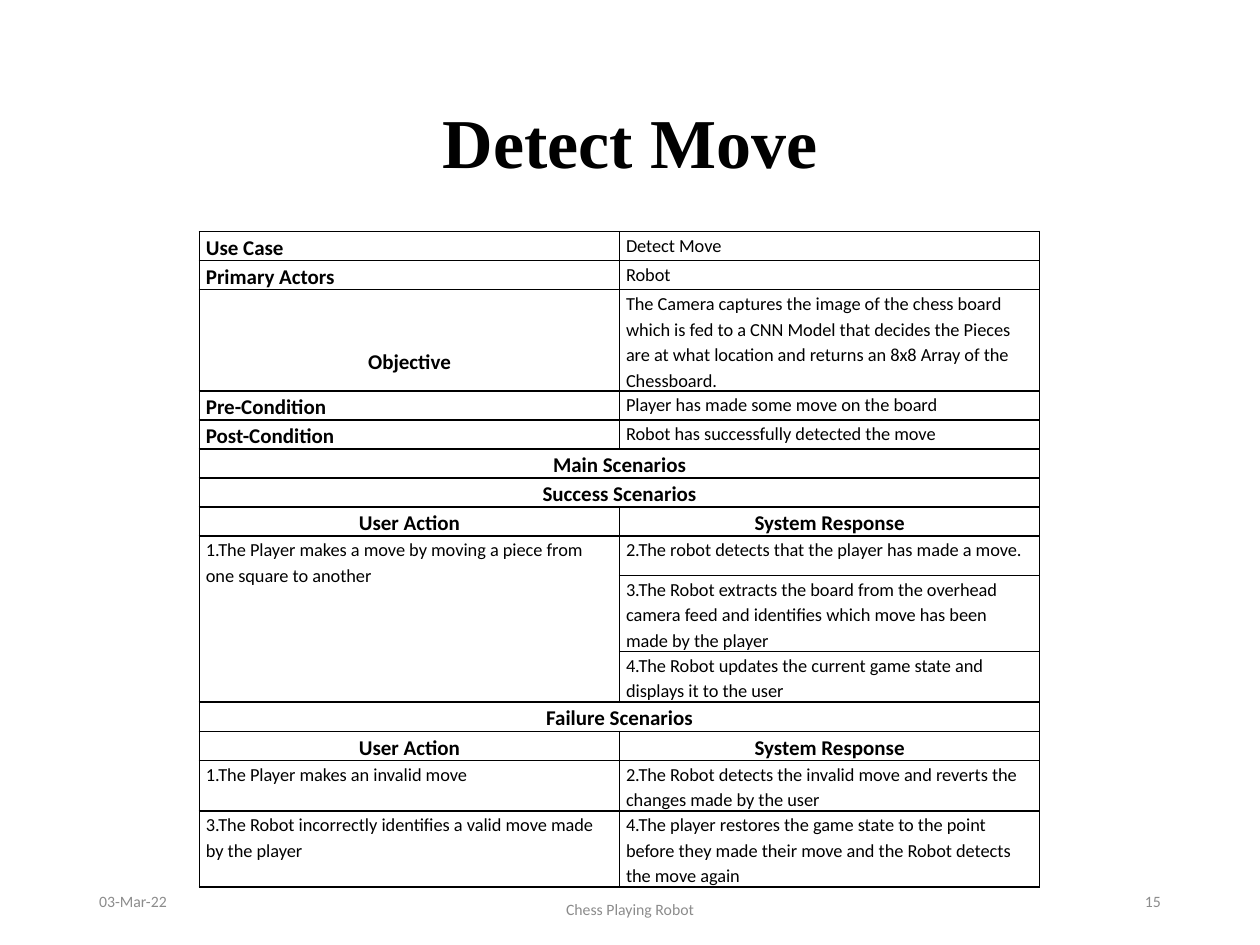
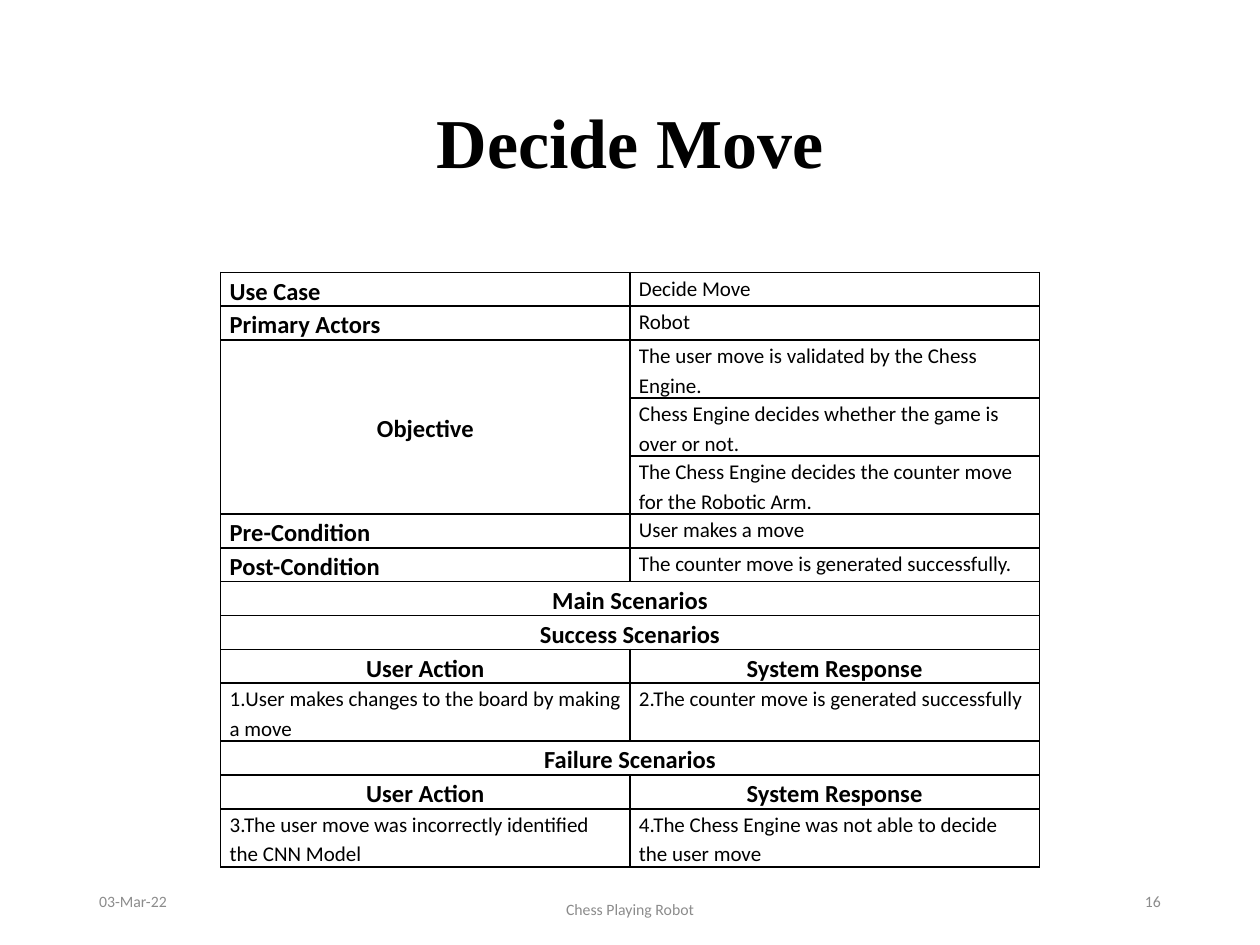
from dataclasses import dataclass

from lxml.etree import SubElement
from pptx import Presentation
from pptx.dml.color import RGBColor
from pptx.enum.text import MSO_ANCHOR, PP_ALIGN
from pptx.oxml.ns import qn
from pptx.util import Cm, Pt

BLACK = RGBColor(0x00, 0x00, 0x00)
GREY = RGBColor(0x8C, 0x8C, 0x8C)
BODY_FONT = "Calibri"
TITLE_FONT = "Times New Roman"
SLIDE_WIDTH, SLIDE_HEIGHT = 25.4, 19.05
LINE_SPACING = 1.15
ROW_CM_PER_POINT = 1.38 * 2.54 / 72

SIDE_LABELS = {"Use Case", "Primary Actors", "Pre-Condition", "Post-Condition"}
CENTRED_LABELS = {"Objective", "Main Scenarios", "Success Scenarios",
                  "Failure Scenarios", "User Action", "System Response"}
COLUMN_HEADS = ("User Action", "System Response", 1)


@dataclass
class UseCase:
    """Content and measures of one use case table, lengths in centimetres.

    A row is left text, right text and lines of text. A right text of None
    spans both columns; a left text of None continues the cell above.
    """
    title: str
    number: str
    left: float
    top: float
    column_width: float
    side_margin: float
    objective_drop: float
    label_size: float
    body_size: float
    rows: list


DETECT_MOVE = UseCase(
    "Detect Move", "15", 4.02, 4.67, 8.47, 0.13, 1.12, 12, 10.5,
    [
        ("Use Case", "Detect Move", 1),
        ("Primary Actors", "Robot", 1),
        ("Objective", "The Camera captures the image of the chess board which is fed "
         "to a CNN Model that decides the Pieces are at what location and returns "
         "an 8x8 Array of the Chessboard.", 4),
        ("Pre-Condition", "Player has made some move on the board", 1),
        ("Post-Condition", "Robot has successfully detected the move", 1),
        ("Main Scenarios", None, 1),
        ("Success Scenarios", None, 1),
        COLUMN_HEADS,
        ("1.The Player makes a move by moving a piece from one square to another",
         "2.The robot detects that the player has made a move.", 1.55),
        (None, "3.The Robot extracts the board from the overhead camera feed and "
         "identifies which move has been made by the player", 3),
        (None, "4.The Robot updates the current game state and displays it to the user", 2),
        ("Failure Scenarios", None, 1),
        COLUMN_HEADS,
        ("1.The Player makes an invalid move",
         "2.The Robot detects the invalid move and reverts the changes made by the user", 2),
        ("3.The Robot incorrectly identifies a valid move made by the player",
         "4.The player restores the game state to the point before they made their "
         "move and the Robot detects the move again", 3),
    ])

DECIDE_MOVE = UseCase(
    "Decide Move", "16", 4.45, 5.49, 8.25, 0.18, 1.4, 14, 12,
    [
        ("Use Case", "Decide Move", 1),
        ("Primary Actors", "Robot", 1),
        ("Objective", "The user move is validated by the Chess Engine.", 2),
        (None, "Chess Engine decides whether the game is over or not.", 2),
        (None, "The Chess Engine decides the counter move for the Robotic Arm.", 2),
        ("Pre-Condition", "User makes a move", 1),
        ("Post-Condition", "The counter move is generated successfully.", 1),
        ("Main Scenarios", None, 1),
        ("Success Scenarios", None, 1),
        COLUMN_HEADS,
        ("1.User makes changes to the board by making a move",
         "2.The counter move is generated successfully", 2),
        ("Failure Scenarios", None, 1),
        COLUMN_HEADS,
        ("3.The user move was incorrectly identified the CNN Model",
         "4.The Chess Engine was not able to decide the user move", 2),
    ])


def format_paragraph(para, font, size, color, bold=False, align=PP_ALIGN.LEFT):
    """Set the alignment of a paragraph and the font of its runs."""
    para.alignment = align
    for span in para.runs:
        span.font.name = font
        span.font.size = Pt(size)
        span.font.bold = bold
        span.font.color.rgb = color


def add_text(page, text, place, anchor, *style, **options):
    """Add a wrapped one-paragraph text box at a place in centimetres."""
    box = page.shapes.add_textbox(*(Cm(length) for length in place))
    frame = box.text_frame
    frame.word_wrap = True
    frame.vertical_anchor = anchor
    frame.text = text
    format_paragraph(frame.paragraphs[0], *style, **options)


def add_title(page, text):
    """Add the large centred slide title."""
    add_text(page, text, (0, 1.85, SLIDE_WIDTH, 1.96), MSO_ANCHOR.BOTTOM,
             TITLE_FONT, 40, BLACK, bold=True, align=PP_ALIGN.CENTER)


def add_footer(page, number):
    """Add the date, the project name and the slide number."""
    parts = [
        ("03-Mar-22", (1.75, 17.65, 5.72, 1.02), PP_ALIGN.LEFT),
        ("Chess Playing Robot", (0, 17.98, SLIDE_WIDTH, 0.69), PP_ALIGN.CENTER),
        (number, (17.93, 17.65, 5.72, 1.02), PP_ALIGN.RIGHT),
    ]
    for text, place, align in parts:
        add_text(page, text, place, MSO_ANCHOR.MIDDLE, BODY_FONT, 9, GREY, align=align)


def style_cell(cell, side_margin):
    """Give a cell black borders, no fill and tight margins."""
    properties = cell._tc.get_or_add_tcPr()
    for side in ("a:lnL", "a:lnR", "a:lnT", "a:lnB"):
        line = SubElement(properties, qn(side), w=str(Pt(1)))
        fill = SubElement(line, qn("a:solidFill"))
        SubElement(fill, qn("a:srgbClr"), val=str(BLACK))
    cell.fill.background()
    cell.margin_left = cell.margin_right = Cm(side_margin)
    cell.margin_top = cell.margin_bottom = 0


def fill_cell(cell, text, case):
    """Write a text into a cell as a label or as body text."""
    centred = text in CENTRED_LABELS
    is_label = centred or text in SIDE_LABELS
    if text == "Objective":
        cell.margin_top = Cm(case.objective_drop)
    cell.text_frame.text = text
    para = cell.text_frame.paragraphs[0]
    para.line_spacing = LINE_SPACING
    format_paragraph(para, BODY_FONT, case.label_size if is_label else case.body_size,
                     BLACK, bold=is_label,
                     align=PP_ALIGN.CENTER if centred else PP_ALIGN.LEFT)


def merge_cells(table, rows):
    """Merge spanning headings and left cells that continue downwards."""
    start = 0
    for index, (left, right, _) in enumerate(rows):
        if right is None:
            table.cell(index, 0).merge(table.cell(index, 1))
        if left is not None:
            start = index
        elif index + 1 == len(rows) or rows[index + 1][0] is not None:
            table.cell(start, 0).merge(table.cell(index, 0))


def add_use_case_table(page, case):
    """Add the two-column table of a use case."""
    heights = [Cm(ROW_CM_PER_POINT * (case.label_size if lines == 1
                                      else lines * case.body_size))
               for _, _, lines in case.rows]
    table = page.shapes.add_table(
        len(case.rows), 2, Cm(case.left), Cm(case.top),
        Cm(2 * case.column_width), sum(heights)).table
    table.first_row = table.horz_banding = False
    for column in table.columns:
        column.width = Cm(case.column_width)
    for row, height, (left, right, _) in zip(table.rows, heights, case.rows):
        row.height = height
        for cell, text in zip(row.cells, (left, right)):
            style_cell(cell, case.side_margin)
            if text is not None:
                fill_cell(cell, text, case)
    merge_cells(table, case.rows)


def main():
    """Build the deck with one slide for each use case."""
    deck = Presentation()
    deck.slide_width, deck.slide_height = Cm(SLIDE_WIDTH), Cm(SLIDE_HEIGHT)
    for case in (DETECT_MOVE, DECIDE_MOVE):
        page = deck.slides.add_slide(deck.slide_layouts[6])
        add_footer(page, case.number)
        add_use_case_table(page, case)
        add_title(page, case.title)
    deck.save("out.pptx")


if __name__ == "__main__":
    main()
